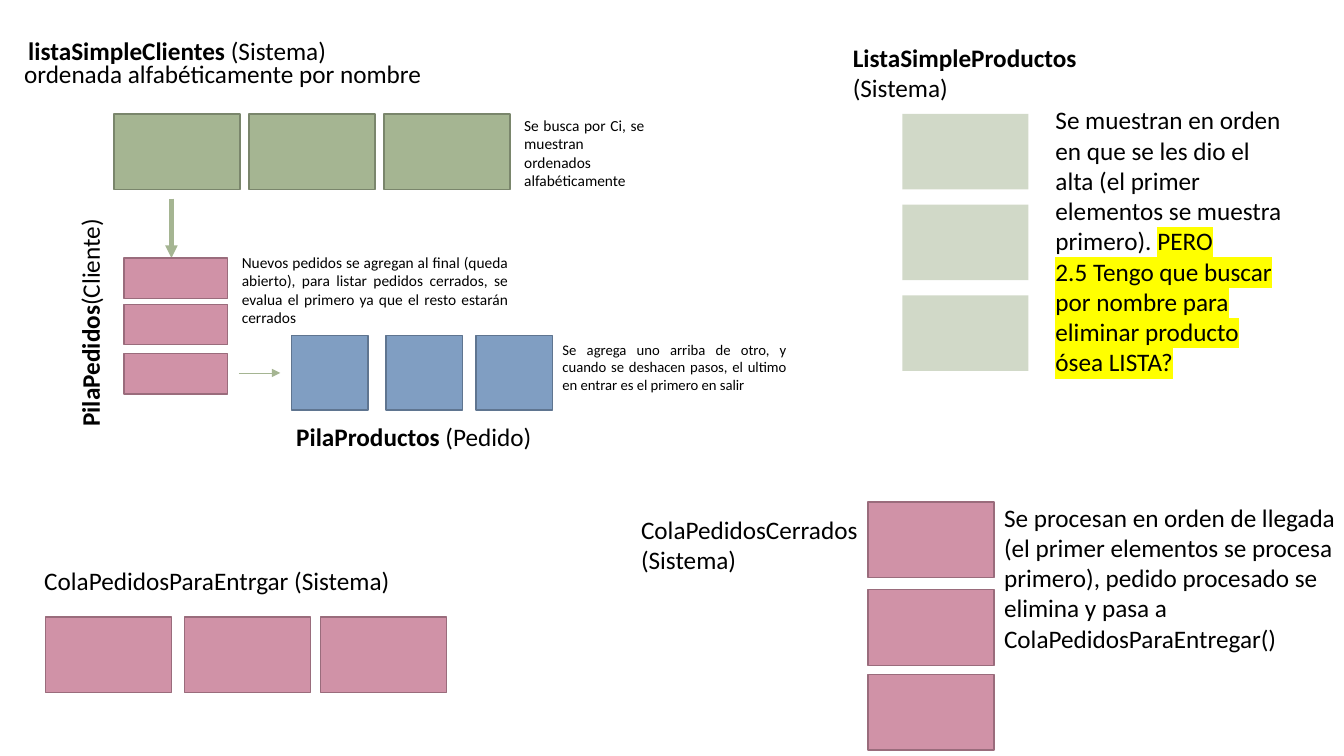
"""Builds the slide of lists, stacks and queues used by the order system."""
import itertools

import lxml.etree
import pptx
import pptx.dml.color
import pptx.enum.shapes
import pptx.enum.text
import pptx.oxml.ns
import pptx.util

Inches = pptx.util.Inches
RGBColor = pptx.dml.color.RGBColor
ALIGN = pptx.enum.text.PP_ALIGN

BLACK = RGBColor(0x00, 0x00, 0x00)
GREEN = RGBColor(0xA5, 0xB5, 0x92)
MOSS = RGBColor(0x7A, 0x86, 0x6C)
PINK = RGBColor(0xD0, 0x92, 0xA7)
PLUM = RGBColor(0x9A, 0x6C, 0x7C)
BLUE = RGBColor(0x80, 0x9E, 0xC2)
STEEL = RGBColor(0x5F, 0x75, 0x90)
YELLOW = RGBColor(0xFF, 0xFF, 0x00)
FONT = "Calibri"
WIDE = (1.25, 0.75)


def add_node(base, tag, **attrs):
    return lxml.etree.SubElement(base, pptx.oxml.ns.qn(tag), attrs)


def add_cells(slide, lefts, tops, size, fill, edge=None):
    for left, top in itertools.product(lefts, tops):
        cell = slide.shapes.add_shape(
            pptx.enum.shapes.MSO_SHAPE.RECTANGLE,
            *map(Inches, (left, top, *size)))
        cell.shadow.inherit = False
        cell.fill.solid()
        cell.fill.fore_color.rgb = fill
        if edge is None:
            cell.line.fill.background()
            color = cell.fill._xPr.find(".//" + pptx.oxml.ns.qn("a:srgbClr"))
            add_node(color, "a:alpha", val="50000")
        else:
            cell.line.color.rgb = edge
            cell.line.width = pptx.util.Pt(1)


def add_run(para, text, size, bold=False, mark=None):
    run = para.add_run()
    run.text = text
    font = run.font
    font.size = pptx.util.Pt(size)
    font.bold = bold
    font.color.rgb = BLACK
    font.name = FONT
    if mark is not None:
        props = run._r.get_or_add_rPr()
        light = add_node(props, "a:highlight")
        add_node(light, "a:srgbClr", val=str(mark))
        props.find(pptx.oxml.ns.qn("a:latin")).addprevious(light)


def fill_text(box, place, paras, size=18, align=ALIGN.LEFT, wrap=True):
    box.left, box.top, box.width, box.height = map(Inches, place)
    frame = box.text_frame
    frame.word_wrap = wrap
    frame.auto_size = pptx.enum.text.MSO_AUTO_SIZE.SHAPE_TO_FIT_TEXT
    frame.vertical_anchor = pptx.enum.text.MSO_ANCHOR.TOP
    for index, runs in enumerate(paras):
        para = frame.add_paragraph() if index else frame.paragraphs[0]
        para.alignment = align
        for text, style in runs:
            add_run(para, text, size, **style)


def add_text(slide, place, paras, **style):
    box = slide.shapes.add_textbox(*map(Inches, place))
    fill_text(box, place, paras, **style)
    return box


def add_note(slide, place, text, size=18, align=ALIGN.LEFT):
    add_text(slide, place, [[(text, {})]], size=size, align=align)


def name_runs(name, owner):
    return [[(name, {"bold": True}), (owner, {})]]


def add_arrow(slide, start, end, width):
    arrow = slide.shapes.add_connector(
        pptx.enum.shapes.MSO_CONNECTOR.STRAIGHT, *map(Inches, (*start, *end)))
    arrow.line.color.rgb = GREEN
    arrow.line.width = pptx.util.Pt(width)
    add_node(arrow.line._get_or_add_ln(), "a:tailEnd", type="triangle")
    add_node(arrow._element.spPr, "a:effectLst")


def draw_clients(slide):
    fill_text(slide.shapes.title, (0.18, 0.3, 3.73, 0.4),
              name_runs("listaSimpleClientes", " (Sistema)"))
    add_note(slide, (0.14, 0.53, 4.28, 0.4),
             "ordenada alfabéticamente por nombre")
    add_cells(slide, [1.13 + 1.34 * col for col in range(3)], [1.13],
              WIDE, GREEN, MOSS)
    add_note(slide, (5.1, 1.1, 1.39, 0.84),
             "Se busca por Ci, se muestran ordenados alfabéticamente",
             11, ALIGN.JUSTIFY)
    add_arrow(slide, (1.7, 1.97), (1.7, 2.56), 3)


def draw_orders(slide):
    add_cells(slide, [1.23], [2.56, 3.02, 3.51], (1.03, 0.4), PINK, PLUM)
    label = add_text(slide, (-0.25, 2.99, 2.28, 0.4),
                     name_runs("PilaPedidos", "(Cliente)"), wrap=False)
    label.rotation = 270
    add_note(slide, (2.3, 2.46, 2.84, 0.84),
             "Nuevos pedidos se agregan al final (queda abierto), para listar "
             "pedidos cerrados, se evalua el primero ya que el resto estarán "
             "cerrados", 11, ALIGN.JUSTIFY)
    add_arrow(slide, (2.37, 3.7), (2.78, 3.7), 0.5)


def draw_stack(slide):
    add_cells(slide, [2.89, 3.83, 4.72], [3.33], (0.76, 0.74), BLUE, STEEL)
    add_text(slide, (2.84, 4.13, 2.53, 0.4),
             name_runs("PilaProductos", " (Pedido)"))
    add_note(slide, (5.48, 3.33, 2.42, 0.63),
             "Se agrega uno arriba de otro, y cuando se deshacen pasos, el "
             "ultimo en entrar es el primero en salir", 10.5, ALIGN.JUSTIFY)


def draw_products(slide):
    add_text(slide, (8.36, 0.37, 2.74, 0.71),
             name_runs("ListaSimpleProductos", " (Sistema)"))
    add_cells(slide, [8.95], [1.13 + 0.9 * row for row in range(3)],
              WIDE, GREEN)
    light = {"mark": YELLOW}
    add_text(slide, (10.37, 0.99, 2.5, 2.83), [
        [("Se muestran en orden en que se les dio el alta (el primer "
          "elementos se muestra primero). ", {}), ("PERO", light)],
        [("2.5 Tengo que buscar por nombre para eliminar producto "
          "ósea LISTA?", light)]])


def draw_queues(slide):
    add_note(slide, (6.26, 5.05, 2.4, 0.71), "ColaPedidosCerrados (Sistema)")
    add_cells(slide, [8.61], [4.98, 5.85, 6.69], WIDE, PINK, PLUM)
    add_note(slide, (9.86, 4.93, 3.68, 1.62),
             "Se procesan en orden de llegada (el primer elementos se procesa "
             "primero), pedido procesado se elimina y pasa a "
             "ColaPedidosParaEntregar()")
    add_note(slide, (0.34, 5.56, 3.85, 0.4),
             "ColaPedidosParaEntrgar (Sistema)")
    add_cells(slide, [0.45, 1.83, 3.18], [6.12], WIDE, PINK, PLUM)


def main():
    deck = pptx.Presentation()
    deck.slide_width = Inches(13.33)
    deck.slide_height = Inches(7.5)
    slide = deck.slides.add_slide(deck.slide_layouts.get_by_name("Title Only"))
    draw_clients(slide)
    draw_orders(slide)
    draw_stack(slide)
    draw_products(slide)
    draw_queues(slide)
    deck.save("out.pptx")


if __name__ == "__main__":
    main()
